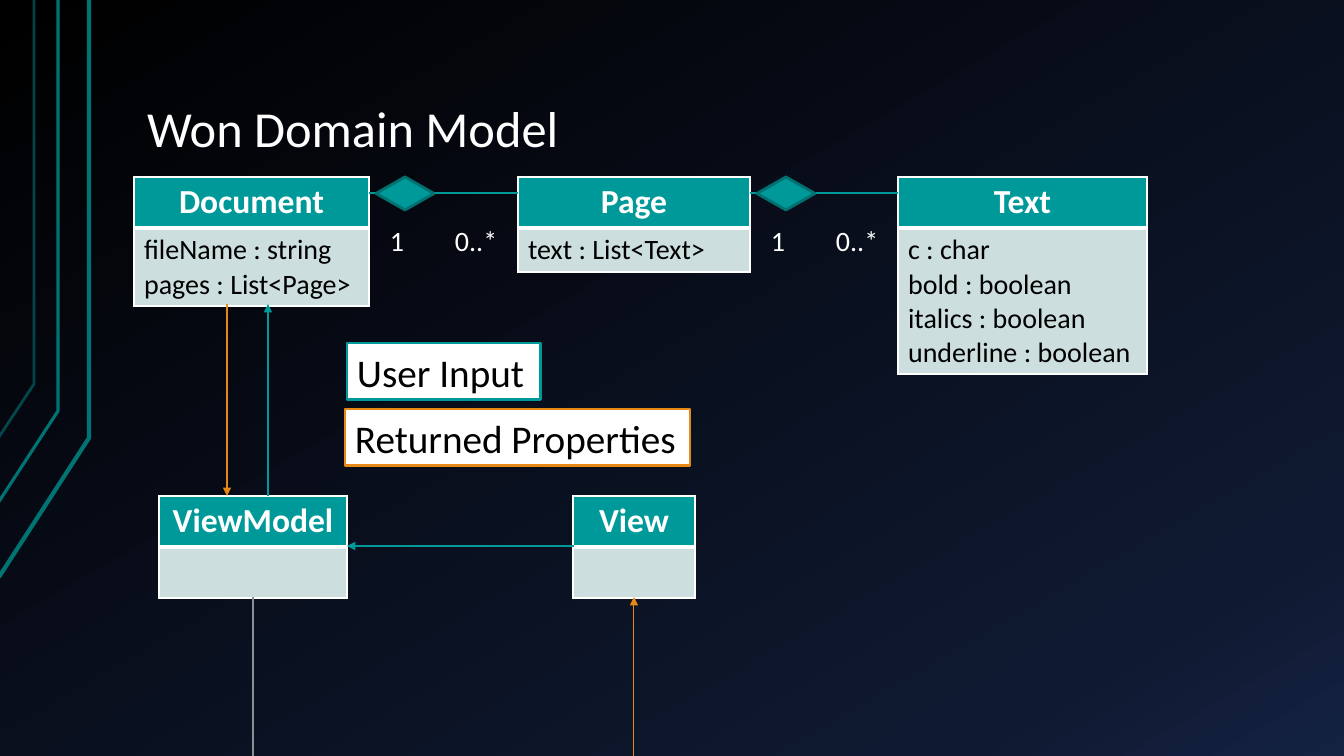
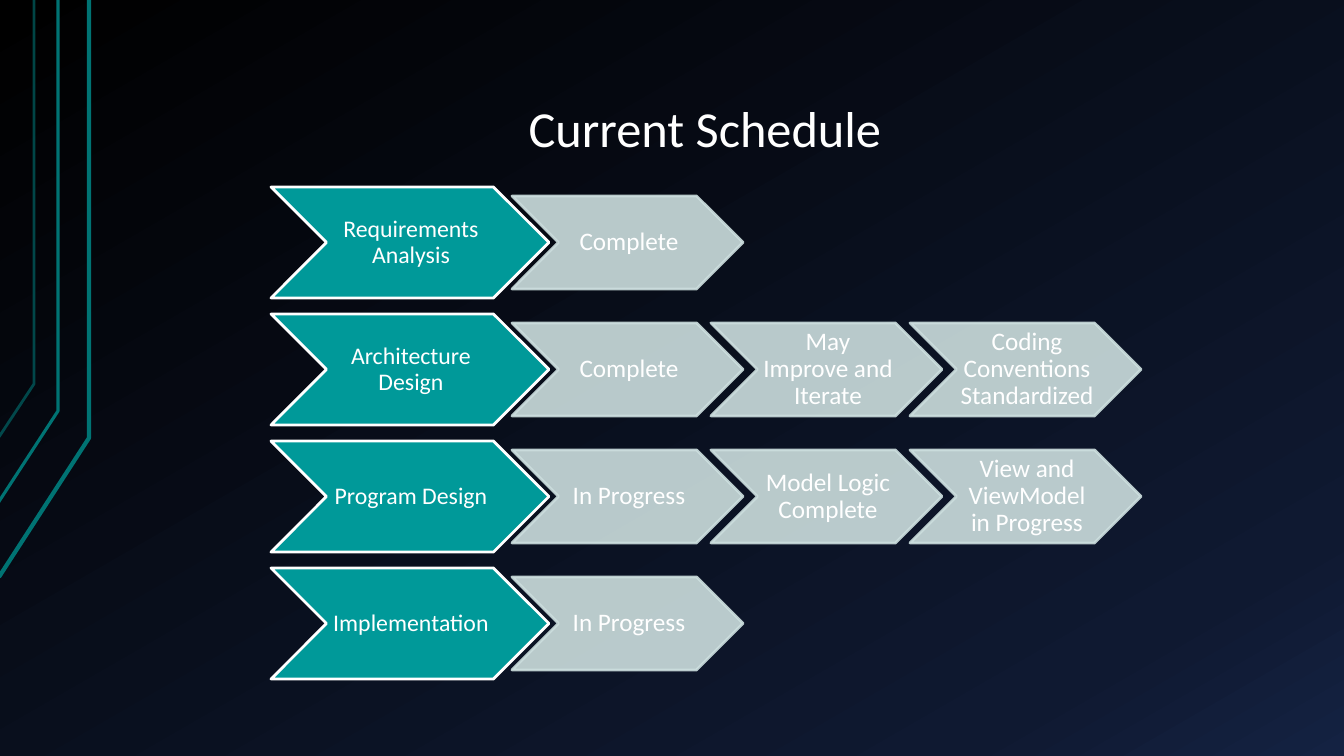
"""Build a domain model slide and a schedule slide."""
from dataclasses import dataclass
from typing import Any, Optional

from lxml import etree
from pptx import Presentation
from pptx import util as u
from pptx.dml import color
from pptx.enum import shapes, text
from pptx.oxml import ns

SCALE = 914400 / 100.8
WIDTH, HEIGHT = 1344, 756
FONT = "Calibri"
WHITE, BLACK, GRAY = "FFFFFF", "000000", "8C9096"
TEAL, DARK_TEAL, BORDER_TEAL, PALE_TEAL, ORANGE = "009999", "007373", "007171", "CCDEDE", "E98915"
GRADIENT = ((0, "000000"), (85, "0F1931"), (100, "142242"))
HEADER_HEIGHT, BODY_LINE, BODY_PADDING = 51, 34, 10
LEFT, CENTER = text.PP_ALIGN.LEFT, text.PP_ALIGN.CENTER
TOP, MIDDLE, BOTTOM = text.MSO_ANCHOR.TOP, text.MSO_ANCHOR.MIDDLE, text.MSO_ANCHOR.BOTTOM


@dataclass(frozen=True)
class Box:
    """A rectangle in pixels."""
    left: int
    top: int
    width: int
    height: int


@dataclass(frozen=True)
class TextStyle:
    """How the text of a frame looks; insets are left, top, right, bottom."""
    size: int
    color: str = WHITE
    bold: bool = False
    align: text.PP_ALIGN = LEFT
    anchor: text.MSO_ANCHOR = TOP
    insets: tuple[int, int, int, int] = (10, 5, 10, 5)
    spacing: float = 1.0


@dataclass(frozen=True)
class ShapeStyle:
    """Fill and outline of a shape; opacity is in percent."""
    fill: Optional[str]
    line: str
    line_width: float = 2
    opacity: int = 100


@dataclass(frozen=True)
class RailLine:
    """One bent line at the left edge."""
    points: tuple[tuple[int, int], ...]
    style: ShapeStyle


@dataclass(frozen=True)
class ModelClass:
    """One class table with its fields."""
    name: str
    left: int
    top: int
    width: int
    fields: tuple[str, ...] = ()


@dataclass(frozen=True)
class Link:
    """A straight line between two points."""
    start: tuple[int, int]
    end: tuple[int, int]
    color: str
    arrow: bool = True


@dataclass(frozen=True)
class Phase:
    """A schedule row: its name and its steps."""
    name: str
    steps: tuple[str, ...]


RAILS = (
    RailLine(((-1, 577), (89, 438), (89, 0)), ShapeStyle(None, DARK_TEAL, 3)),
    RailLine(((-2, 503), (58, 411), (58, 0)), ShapeStyle(None, DARK_TEAL, 2.25)),
    RailLine(((-1, 437), (34, 384), (34, 0)), ShapeStyle(None, DARK_TEAL, 2, 60)),
)
TITLE_BOX = Box(134, 30, 1142, 135)
CLASSES = (
    ModelClass("Document", 134, 177, 235, ("fileName : string", "pages : List<Page>")),
    ModelClass("Page", 518, 177, 232, ("text : List<Text>",)),
    ModelClass("Text", 898, 177, 249,
               ("c : char", "bold : boolean", "italics : boolean", "underline : boolean")),
    ModelClass("ViewModel", 159, 496, 188),
    ModelClass("View", 573, 496, 122),
)
COMPOSITIONS = (Link((369, 193), (518, 193), TEAL, False),
                Link((750, 193), (898, 193), TEAL, False))
FLOWS = (
    Link((574, 546), (347, 546), TEAL),
    Link((268, 496), (268, 304), TEAL),
    Link((253, 597), (253, HEIGHT), GRAY, False),
    Link((634, HEIGHT), (634, 597), ORANGE),
    Link((227, 304), (227, 496), ORANGE),
)
LEGEND = (("User Input", Box(347, 343, 194, 57), TEAL),
          ("Returned Properties", Box(345, 409, 345, 57), ORANGE))
PHASES = (
    Phase("Requirements Analysis", ("Complete",)),
    Phase("Architecture Design",
          ("Complete", "May Improve and Iterate", "Coding Conventions Standardized")),
    Phase("Program Design",
          ("In Progress", "Model Logic Complete", "View and ViewModel in Progress")),
    Phase("Implementation", ("In Progress",)),
)
PHASE_PITCH, STEP_PITCH = 127, 199


def px(pixels: float) -> u.Emu:
    """Turn pixels into EMU."""
    return u.Emu(round(pixels * SCALE))


def rgb(value: str) -> color.RGBColor:
    """Turn a hex string into a colour."""
    return color.RGBColor.from_string(value)


def apply_format(target: Any, values: dict[str, Any]) -> None:
    """Set each named attribute of the target."""
    for name, value in values.items():
        setattr(target, name, value)


def add_node(parent: Any, tag: str, **attributes: Any) -> Any:
    """Append an XML child with attributes."""
    return etree.SubElement(parent, ns.qn(tag), {k: str(v) for k, v in attributes.items()})


def place(box: Box) -> tuple[u.Emu, ...]:
    """Give left, top, width and height in EMU."""
    return px(box.left), px(box.top), px(box.width), px(box.height)


def write_text(frame: Any, lines: tuple[str, ...], style: TextStyle) -> None:
    """Write one paragraph per line in the given style."""
    for index, line in enumerate(lines):
        paragraph = frame.paragraphs[0] if index == 0 else frame.add_paragraph()
        apply_format(paragraph, {"alignment": style.align, "line_spacing": style.spacing})
        run = paragraph.add_run()
        run.text = line
        apply_format(run.font, {"name": FONT, "size": u.Pt(style.size), "bold": style.bold})
        run.font.color.rgb = rgb(style.color)


def fill_frame(frame: Any, line: str, style: TextStyle) -> None:
    """Set up the text frame of a shape and write its text."""
    margins = ("margin_left", "margin_top", "margin_right", "margin_bottom")
    apply_format(frame, dict(zip(margins, map(px, style.insets))))
    apply_format(frame, {"word_wrap": True, "vertical_anchor": style.anchor})
    write_text(frame, (line,), style)


def style_shape(shape: Any, style: ShapeStyle) -> None:
    """Give a shape its fill, outline and opacity."""
    shape.shadow.inherit = False
    if style.fill:
        shape.fill.solid()
        shape.fill.fore_color.rgb = rgb(style.fill)
    else:
        shape.fill.background()
    shape.line.color.rgb = rgb(style.line)
    shape.line.width = u.Pt(style.line_width)
    if style.opacity < 100:
        for node in shape.element.spPr.iter(ns.qn("a:srgbClr")):
            add_node(node, "a:alpha", val=style.opacity * 1000)


def add_block(slide: Any, kind: shapes.MSO_SHAPE, box: Box, style: ShapeStyle,
              label: str = "", text_style: Optional[TextStyle] = None) -> None:
    """Draw a preset shape, with text if a text style is given."""
    shape = slide.shapes.add_shape(kind, *place(box))
    style_shape(shape, style)
    if text_style:
        fill_frame(shape.text_frame, label, text_style)


def add_label(slide: Any, box: Box, label: str, style: TextStyle) -> Any:
    """Draw a text box and return its frame."""
    frame = slide.shapes.add_textbox(*place(box)).text_frame
    fill_frame(frame, label, style)
    return frame


def add_link(slide: Any, link: Link) -> None:
    """Draw a thin straight connector, with an arrowhead if asked."""
    connector = slide.shapes.add_connector(
        shapes.MSO_CONNECTOR.STRAIGHT, *map(px, link.start + link.end))
    connector.line.color.rgb = rgb(link.color)
    connector.line.width = u.Pt(0.75)
    properties = connector.element.spPr
    if link.arrow:
        add_node(properties.find(ns.qn("a:ln")), "a:tailEnd", type="triangle")
    add_node(properties, "a:effectLst")


def style_cell(cell: Any, fill: str, borders: dict[str, int]) -> None:
    """Give a cell white borders, in points per side, and a fill."""
    properties = cell._tc.get_or_add_tcPr()
    for side, points in borders.items():
        line = add_node(properties, f"a:ln{side}", w=u.Pt(points))
        add_node(add_node(line, "a:solidFill"), "a:srgbClr", val=WHITE)
    cell.fill.solid()
    cell.fill.fore_color.rgb = rgb(fill)


def add_class(slide: Any, model: ModelClass) -> None:
    """Draw a class as a table of a header and a body cell."""
    body = BODY_PADDING + BODY_LINE * len(model.fields) if model.fields else HEADER_HEIGHT
    box = Box(model.left, model.top, model.width, HEADER_HEIGHT + body)
    table = slide.shapes.add_table(2, 1, *place(box)).table
    apply_format(table, {"first_row": False, "horz_banding": False})
    for row, height in zip(table.rows, (HEADER_HEIGHT, body)):
        row.height = px(height)
    header, fields = table.cell(0, 0), table.cell(1, 0)
    style_cell(header, TEAL, {"L": 1, "R": 1, "T": 1, "B": 3})
    style_cell(fields, PALE_TEAL, {"L": 1, "R": 1, "T": 3, "B": 1})
    write_text(header.text_frame, (model.name,), TextStyle(24, bold=True, align=CENTER))
    write_text(fields.text_frame, model.fields, TextStyle(20, BLACK))


def add_slide(presentation: Any, title: str, align: text.PP_ALIGN) -> Any:
    """Add a slide with the shared background, rails and title."""
    slide = presentation.slides.add_slide(presentation.slide_layouts[6])
    fill = slide.background.fill
    fill.gradient()
    fill.gradient_angle = 300
    stops = slide.element.find(".//" + ns.qn("a:gsLst"))
    for stop in list(stops):
        stops.remove(stop)
    for position, value in GRADIENT:
        add_node(add_node(stops, "a:gs", pos=position * 1000), "a:srgbClr", val=value)
    for rail in RAILS:
        builder = slide.shapes.build_freeform(*rail.points[0], scale=SCALE)
        builder.add_line_segments(rail.points[1:], close=False)
        style_shape(builder.convert_to_shape(), rail.style)
    add_label(slide, TITLE_BOX, title, TextStyle(
        36, align=align, anchor=BOTTOM, insets=(13, 7, 13, 7), spacing=0.9))
    return slide


def build_domain_model(presentation: Any) -> None:
    """Build the class diagram."""
    slide = add_slide(presentation, "Won Domain Model", LEFT)
    for model in CLASSES:
        add_class(slide, model)
    for link in COMPOSITIONS + FLOWS:
        add_link(slide, link)
    for link in COMPOSITIONS:
        left = link.start[0]
        add_block(slide, shapes.MSO_SHAPE.FLOWCHART_DECISION, Box(left + 7, 177, 58, 33),
                  ShapeStyle(TEAL, BORDER_TEAL))
        frame = add_label(slide, Box(left + 11, 218, 128, 44), "1\t0..*", TextStyle(20))
        tabs = add_node(frame.paragraphs[0]._p.get_or_add_pPr(), "a:tabLst")
        add_node(tabs, "a:tab", pos=px(65), algn="l")
    for label, box, line in LEGEND:
        add_block(slide, shapes.MSO_SHAPE.RECTANGLE, box, ShapeStyle(WHITE, line),
                  label, TextStyle(28, BLACK, anchor=MIDDLE))


def build_schedule(presentation: Any) -> None:
    """Build the rows of chevrons."""
    slide = add_slide(presentation, "Current Schedule", CENTER)
    chevron = shapes.MSO_SHAPE.CHEVRON
    shared = {"align": CENTER, "anchor": MIDDLE, "spacing": 0.9}
    phase_text = TextStyle(17, insets=(2, 1, 0, 1), **shared)
    step_text = TextStyle(18, insets=(3, 1, 0, 1), **shared)
    for row, phase in enumerate(PHASES):
        top = 187 + row * PHASE_PITCH
        add_block(slide, chevron, Box(271, top, 278, 111), ShapeStyle(TEAL, WHITE),
                  phase.name, phase_text)
        for column, step in enumerate(phase.steps):
            add_block(slide, chevron, Box(512 + column * STEP_PITCH, top + 9, 231, 93),
                      ShapeStyle(PALE_TEAL, PALE_TEAL, opacity=90), step, step_text)


def main() -> None:
    """Build and save the presentation."""
    presentation = Presentation()
    apply_format(presentation, {"slide_width": px(WIDTH), "slide_height": px(HEIGHT)})
    build_domain_model(presentation)
    build_schedule(presentation)
    presentation.save("out.pptx")


main()
